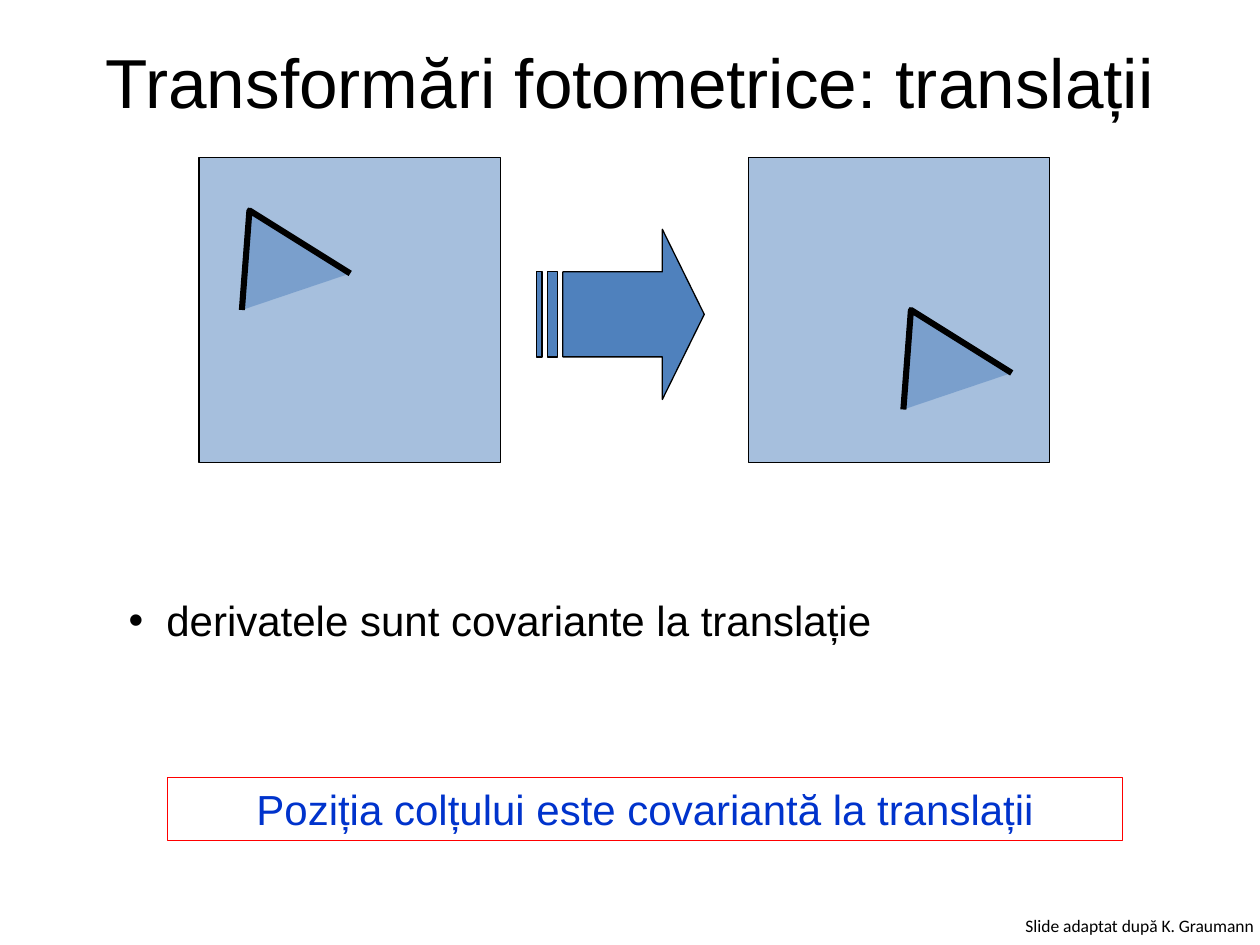
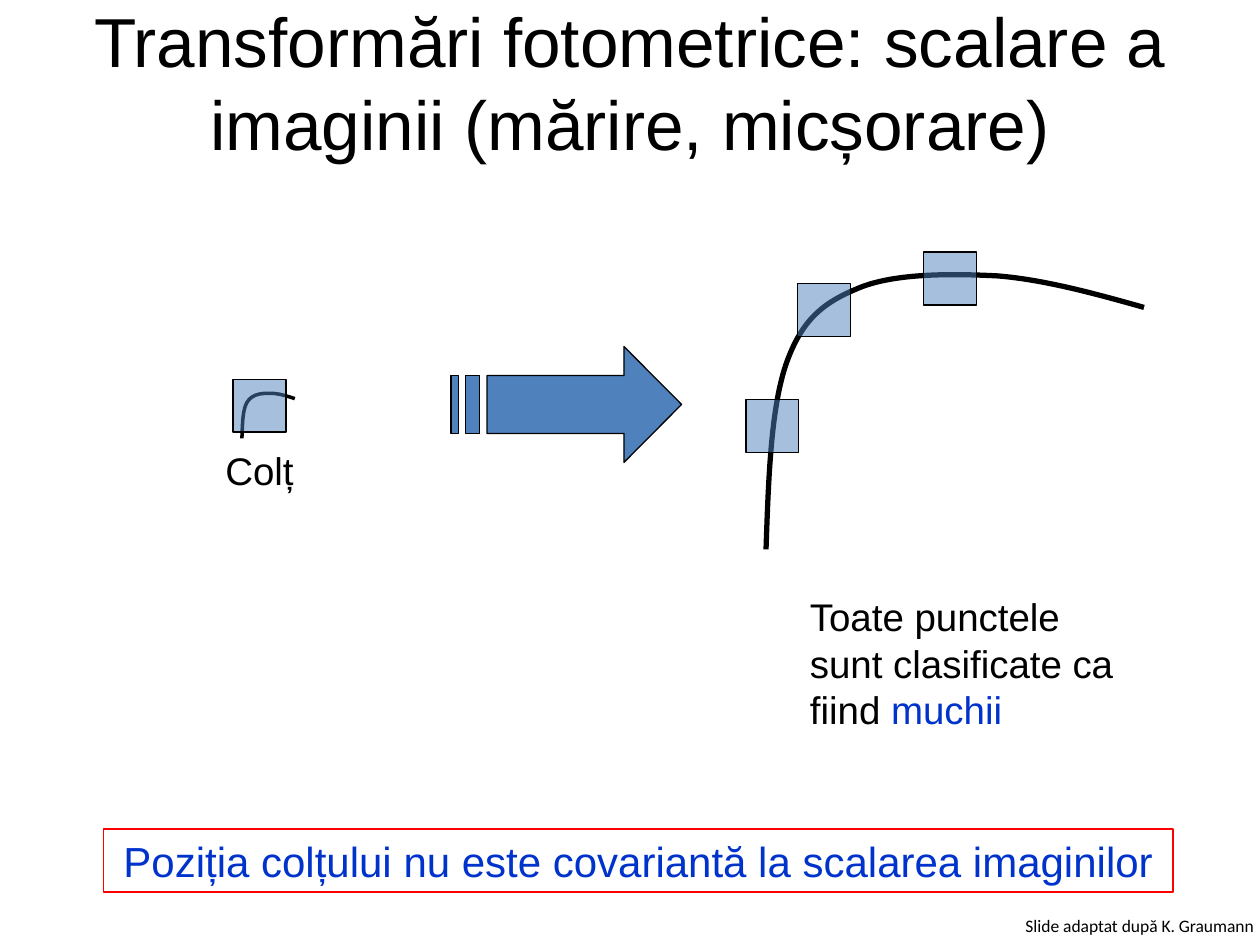
from pptx import Presentation, util as u
from pptx.dml import color
from pptx.enum import shapes, text
from lxml import etree

PX = 9144
HUES = {"ink": "000000", "blue": "4F81BD", "key": "0033CC", "red": "FF0000"}
NS = "{http://schemas.openxmlformats.org/drawingml/2006/main}"
CURVE = [(0, 219), (2, 161), (4, 104), (17, 69), (30, 34), (48, 22), (75, 11),
         (103, 0), (146, 0), (184, 2), (221, 5), (261, 16), (300, 27)]
CORNER = [(0, 79), (6, 0), (86, 50)]


def emu(*sizes):
    return [u.Emu(round(size * PX)) for size in sizes]


def hue(name):
    return color.RGBColor.from_string(HUES[name])


def style(shape, fill=None, line="ink", width=0.75, alpha=None):
    shape.shadow.inherit = False
    if fill:
        shape.fill.solid()
        shape.fill.fore_color.rgb = hue(fill)
    else:
        shape.fill.background()
    if alpha:
        tint = shape.fill._xPr.find(f"{NS}solidFill/{NS}srgbClr")
        etree.SubElement(tint, f"{NS}alpha", val=str(alpha * 1000))
    shape.line.color.rgb = hue(line)
    shape.line.width = u.Pt(width)


def write(frame, parts, size, face="Arial", align=text.PP_ALIGN.LEFT):
    para = frame.paragraphs[0]
    para.alignment = align
    para.space_before = u.Pt(0)
    for words, tone in parts:
        run = para.add_run()
        run.text = words
        run.font.size = u.Pt(size)
        run.font.name = face
        run.font.color.rgb = hue(tone)


def place(shape, left, top, width, height):
    shape.left, shape.top, shape.width, shape.height = emu(left, top, width, height)


def add_title(slide, words):
    title = slide.shapes.title
    place(title, 50, 2, 900, 125)
    frame = title.text_frame
    frame.auto_size = text.MSO_AUTO_SIZE.NONE
    frame.vertical_anchor = text.MSO_ANCHOR.MIDDLE
    write(frame, [(words, "ink")], 39.6, align=text.PP_ALIGN.CENTER)


def add_list(slide, box, words):
    body = slide.placeholders[1]
    place(body, *box)
    frame = body.text_frame
    frame.auto_size = text.MSO_AUTO_SIZE.NONE
    props = frame.paragraphs[0]._p.get_or_add_pPr()
    props.set("marL", str(30 * PX))
    props.set("indent", str(-30 * PX))
    etree.SubElement(props, f"{NS}buChar", char="•")
    write(frame, [(words, "ink")], 24)


def add_text(slide, box, parts, size, face="Arial"):
    frame = slide.shapes.add_textbox(*emu(*box)).text_frame
    frame.word_wrap = True
    write(frame, parts, size, face)


def add_rect(slide, *box):
    return slide.shapes.add_shape(shapes.MSO_SHAPE.RECTANGLE, *emu(*box))


def add_pane(slide, left, top, width, height):
    style(add_rect(slide, left, top, width, height), "blue", alpha=50)


def add_note(slide, box, words):
    note = add_rect(slide, *box)
    style(note, line="red")
    note.text_frame.word_wrap = True
    write(note.text_frame, [(words, "key")], 24, align=text.PP_ALIGN.CENTER)


def draw(slide, loops, close):
    pen = None
    for loop in loops:
        first, *rest = [emu(*point) for point in loop]
        if pen is None:
            pen = slide.shapes.build_freeform(*first)
        else:
            pen.move_to(*first)
        pen.add_line_segments(rest, close=close)
    return pen.convert_to_shape()


def add_arrow(slide, left, top, width, height):
    def spot(x, y):
        return left + width * x, top + height * y

    def bar(start, end):
        return [spot(start, .25), spot(start, .75), spot(end, .75), spot(end, .25)]

    head = [(.75, 0), (.75, .25), (5 / 32, .25), (5 / 32, .75),
            (.75, .75), (.75, 1), (1, .5)]
    loops = [[spot(*point) for point in head], bar(1 / 16, 1 / 8), bar(0, 1 / 32)]
    style(draw(slide, loops, True), "blue")


def add_corner(slide, left, top):
    points = [(left + x, top + y) for x, y in CORNER]
    style(draw(slide, [points], False), "blue", width=3.5, alpha=50)


def bend(shape):
    lines = list(shape._element.iter(f"{NS}lnTo"))
    for start in range(0, len(lines), 3):
        arc = etree.Element(f"{NS}cubicBezTo")
        lines[start].addprevious(arc)
        for line in lines[start:start + 3]:
            arc.append(line[0])
            line.getparent().remove(line)


def add_curve(slide, left, top, width, height, weight):
    points = [(left + x * width / 300, top + y * height / 219) for x, y in CURVE]
    curve = draw(slide, [points], False)
    bend(curve)
    style(curve, width=weight)


def add_slide(deck, layout, title):
    slide = deck.slides.add_slide(deck.slide_layouts[layout])
    add_title(slide, title)
    add_text(slide, (804, 721, 322, 27),
             [("Slide adaptat după K. Graumann", "ink")], 10, "Calibri")
    return slide


def add_shift(deck):
    slide = add_slide(deck, 1, "Transformări fotometrice: translații")
    add_list(slide, (92, 467, 842, 51), "derivatele sunt covariante la translație")
    for left, corner in ((158, (192, 167)), (594, (717, 246))):
        add_pane(slide, left, 125, 239, 242)
        add_corner(slide, *corner)
    add_arrow(slide, 426, 182, 133, 135)
    add_note(slide, (133, 617, 758, 50),
             "Poziția colțului este covariantă la translații")


def add_scale(deck):
    slide = add_slide(
        deck, 5, "Transformări fotometrice: scalare a imaginii (mărire, micșorare)")
    add_curve(slide, 192, 312, 42, 36, 2)
    add_curve(slide, 608, 217, 300, 219, 3)
    for left, top in ((185, 301), (733, 200), (633, 225), (592, 317)):
        add_pane(slide, left, top, 42, 42)
    add_arrow(slide, 358, 275, 183, 92)
    add_text(slide, (169, 350, 175, 47), [("Colț", "ink")], 22)
    add_text(slide, (633, 466, 283, 121),
             [("Toate punctele sunt clasificate ca fiind ", "ink"),
              ("muchii", "key")], 22)
    add_note(slide, (82, 658, 849, 50),
             "Poziția colțului nu este covariantă la scalarea imaginilor")


def main():
    deck = Presentation()
    deck.slide_width, deck.slide_height = emu(1000, 750)
    add_shift(deck)
    add_scale(deck)
    deck.save("out.pptx")


if __name__ == "__main__":
    main()
